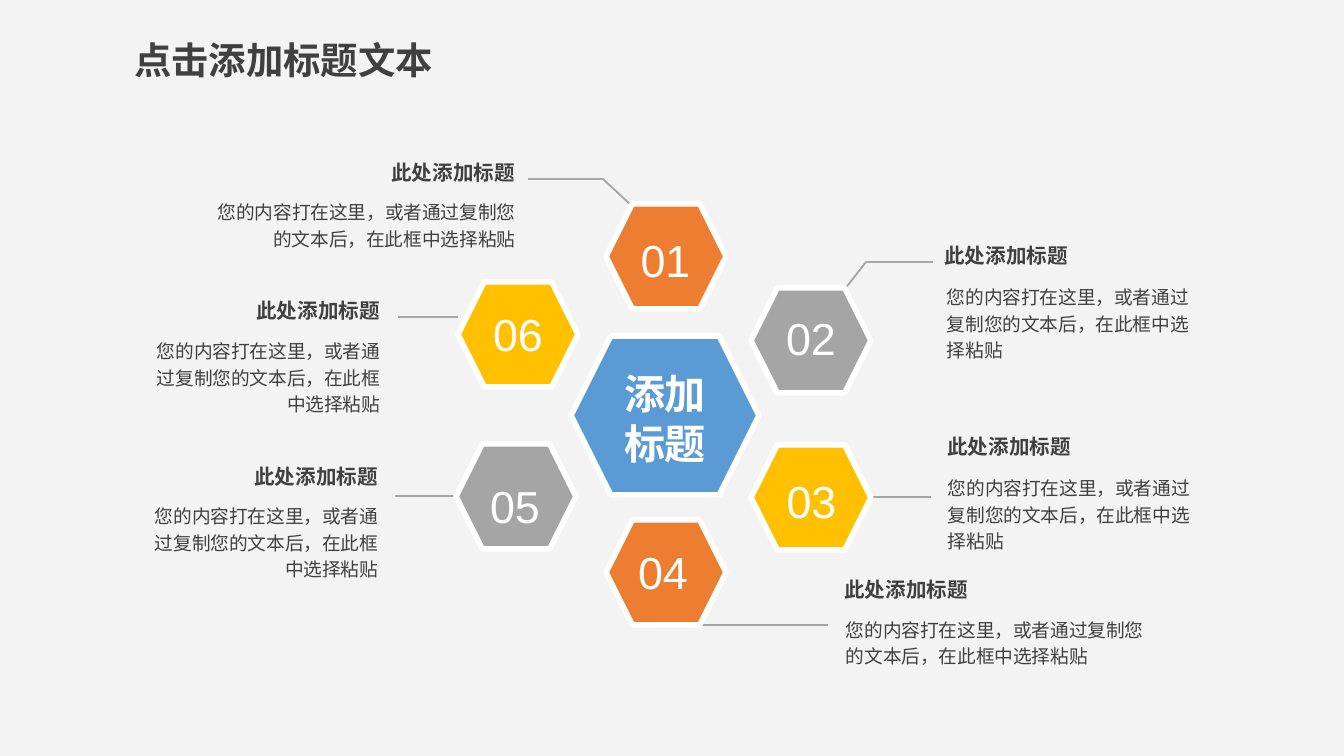
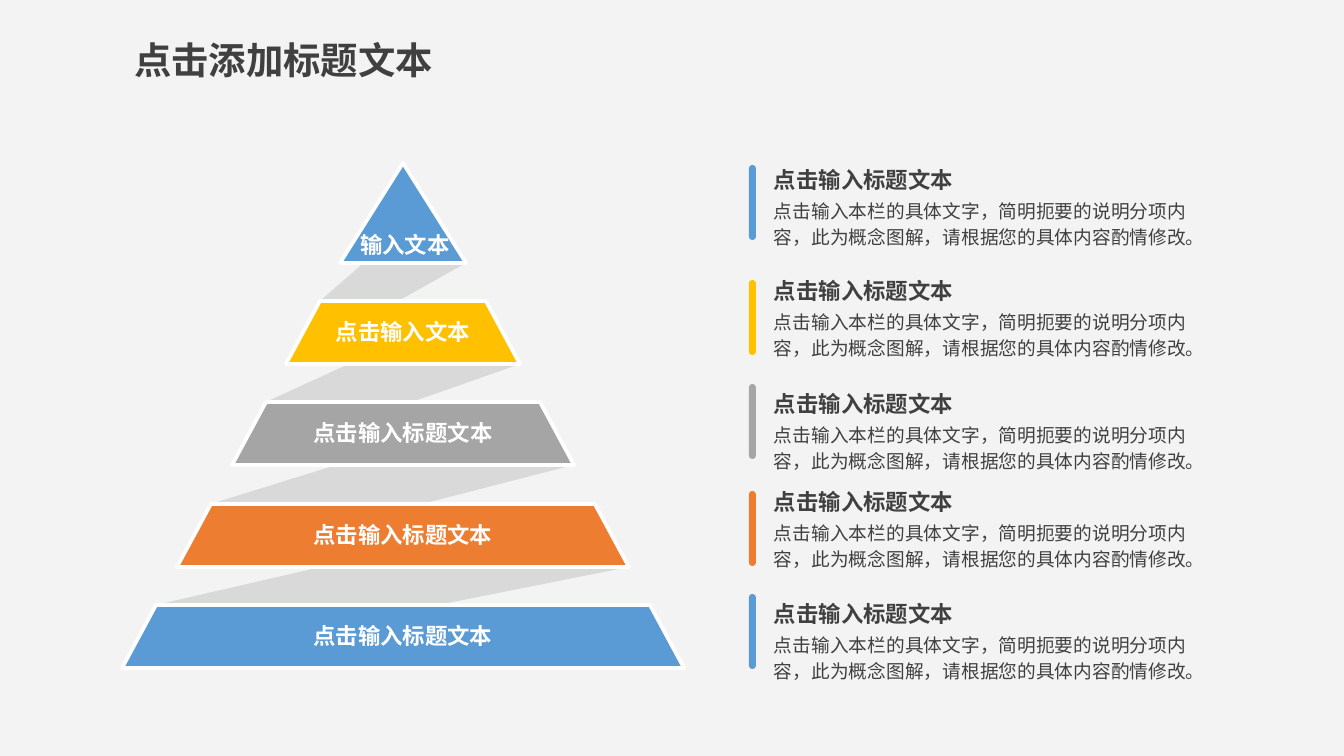
"""Builds a hexagon ring slide and a layered pyramid slide."""
from lxml import etree
from pptx import Presentation
from pptx.dml.color import RGBColor
from pptx.enum.shapes import MSO_CONNECTOR, MSO_SHAPE
from pptx.enum.text import MSO_ANCHOR, MSO_AUTO_SIZE, PP_ALIGN
from pptx.oxml.ns import qn
from pptx.util import Emu, Pt

SCALE = 914400 / 134.4
HEXAGON, BAR = MSO_SHAPE.HEXAGON, MSO_SHAPE.ROUND_2_SAME_RECTANGLE
STRAIGHT = MSO_CONNECTOR.STRAIGHT
LEFT, CENTER, RIGHT, JUSTIFY = PP_ALIGN.LEFT, PP_ALIGN.CENTER, PP_ALIGN.RIGHT, PP_ALIGN.JUSTIFY
TOP, MIDDLE = MSO_ANCHOR.TOP, MSO_ANCHOR.MIDDLE
GROW, FIXED = MSO_AUTO_SIZE.SHAPE_TO_FIT_TEXT, MSO_AUTO_SIZE.NONE

BACKGROUND = RGBColor(0xF3, 0xF3, 0xF3)
WHITE = RGBColor(0xFF, 0xFF, 0xFF)
INK = RGBColor(0x40, 0x40, 0x40)
RULE = RGBColor(0xA6, 0xA6, 0xA6)
SHADE = RGBColor(0xD9, 0xD9, 0xD9)
BLUE = RGBColor(0x5B, 0x9B, 0xD5)
ORANGE = RGBColor(0xED, 0x7D, 0x31)
GREY = RGBColor(0xA5, 0xA5, 0xA5)
GOLD = RGBColor(0xFF, 0xC0, 0x00)

CJK, LATIN = "Noto Sans CJK SC", "Arial"
TITLE = dict(name=CJK, size=Pt(20), bold=True, color=INK)
HEADING = dict(name=CJK, size=Pt(11), bold=True, color=INK)
ITEM_HEADING = dict(HEADING, size=Pt(12))
BODY = dict(name=CJK, size=Pt(10), bold=False, color=INK)
NUMBER = dict(name=LATIN, size=Pt(24), bold=False, color=WHITE)
CORE = dict(name=CJK, size=Pt(22), bold=True, color=WHITE)
TIER = dict(name=CJK, size=Pt(12), bold=True, color=WHITE)

SLIDE_TITLE = "点击添加标题文本"


def px(*values):
    """Turn pixel lengths into EMU."""
    return [Emu(round(v * SCALE)) for v in values]


class Deck:
    """Holds the presentation, its style and the current slide."""

    def __init__(self):
        self.prs = Presentation()
        self.prs.slide_width, self.prs.slide_height = px(1344, 756)
        fill = self.prs.slide_master.background.fill
        fill.solid()
        fill.fore_color.rgb = BACKGROUND
        self.s = None

    def slide(self, title):
        """Start a title-only slide."""
        self.s = self.prs.slides.add_slide(self.prs.slide_layouts[5])
        sp = self.s.shapes.title
        sp.left, sp.top, sp.width, sp.height = px(121, 30, 329, 59)
        self.fill_text(sp, title, TITLE, wrap=False)

    def fill_text(self, sp, text, font, align=LEFT, wrap=True, spacing=1.0,
                  inset=(13, 7), anchor=TOP, size=GROW):
        """Put one formatted paragraph into a shape."""
        tf = sp.text_frame
        x, y = px(*inset)
        frame = dict(word_wrap=wrap, auto_size=size, vertical_anchor=anchor,
                     margin_left=x, margin_right=x, margin_top=y, margin_bottom=y)
        for key, value in frame.items():
            setattr(tf, key, value)
        p = tf.paragraphs[0]
        p.alignment, p.line_spacing = align, spacing
        r = p.add_run()
        r.text = text
        for key, value in font.items():
            if key == "color":
                r.font.color.rgb = value
            else:
                setattr(r.font, key, value)
        ea = etree.SubElement(r.font._element, qn("a:ea"))
        ea.set("typeface", font["name"])

    def text(self, box, text, font, **options):
        """Add a text box."""
        self.fill_text(self.s.shapes.add_textbox(*px(*box)), text, font, **options)

    def paint(self, sp, fill, border=None):
        """Give a shape a flat fill and an optional white border in points."""
        sp.shadow.inherit = False
        sp.fill.solid()
        sp.fill.fore_color.rgb = fill
        if border:
            sp.line.color.rgb = WHITE
            sp.line.width = Pt(border)
        else:
            sp.line.fill.background()

    def shape(self, kind, box, fill, border=None):
        """Add a preset shape."""
        sp = self.s.shapes.add_shape(kind, *px(*box))
        self.paint(sp, fill, border)
        return sp

    def polygon(self, points, fill, border=None):
        """Add a closed outline."""
        builder = self.s.shapes.build_freeform(*points[0], scale=SCALE)
        builder.add_line_segments(points[1:], close=True)
        self.paint(builder.convert_to_shape(), fill, border)

    def leader(self, points):
        """Join points with thin straight lines."""
        for start, end in zip(points, points[1:]):
            line = self.s.shapes.add_connector(STRAIGHT, *px(*start, *end))
            line.line.color.rgb = RULE
            line.line.width = Pt(1)
            etree.SubElement(line._element.spPr, qn("a:effectLst"))


LEADERS = [
    [(931, 497), (871, 497)],
    [(700, 625), (828, 625)],
    [(456, 496), (395, 496)],
    [(458, 317), (398, 317)],
    [(632, 206), (603, 179), (528, 179)],
    [(845, 289), (866, 262), (933, 262)],
]
HEXAGONS = [
    ("01", (606, 204), ORANGE, (621, 215, 89, 73), 1.2),
    ("02", (751, 288), GREY, (770, 304, 82, 67), 1.0),
    ("03", (751, 445), GOLD, (765, 456, 93, 73), 1.2),
    ("04", (606, 520), ORANGE, (622, 538, 82, 67), 1.0),
    ("05", (456, 444), GREY, (474, 461, 82, 73), 1.2),
    ("06", (458, 282), GOLD, (477, 300, 82, 67), 1.0),
]
CAPTIONS = [
    ((382, 156), (196, 192, 328, 63), RIGHT),
    ((935, 239), (938, 277, 267, 90), LEFT),
    ((938, 430), (939, 468, 267, 90), LEFT),
    ((835, 573), (837, 610, 323, 63), LEFT),
    ((245, 460), (136, 496, 251, 90), RIGHT),
    ((247, 294), (138, 331, 251, 90), RIGHT),
]
CAPTION_HEADING = "此处添加标题"
CAPTION_BODY = "您的内容打在这里，或者通过复制您的文本后，在此框中选择粘贴"


def hexagon_slide(deck):
    """Six numbered hexagons around a central one."""
    deck.slide(SLIDE_TITLE)
    for points in LEADERS:
        deck.leader(points)
    for number, corner, fill, box, spacing in HEXAGONS:
        deck.shape(HEXAGON, (*corner, 120, 105), fill, 3)
        deck.text(box, number, NUMBER, align=CENTER, spacing=spacing)
    for corner, box, align in CAPTIONS:
        deck.text((*corner, 142, 34), CAPTION_HEADING, HEADING,
                  align=RIGHT, wrap=False, inset=(9, 4))
        deck.text(box, CAPTION_BODY, BODY, align=align, spacing=1.2, inset=(9, 4))
    deck.shape(HEXAGON, (571, 336, 188, 159), BLUE, 3)
    deck.text((607, 362, 116, 113), "添加标题", CORE, align=CENTER)


AXIS = 403
APEX = [(AXIS, 163), (AXIS + 63, 263), (AXIS - 63, 263)]
ITEM_TITLE = "点击输入标题文本"
ITEM_BODY = "点击输入本栏的具体文字，简明扼要的说明分项内容，此为概念图解，请根据您的具体内容酌情修改。"
TIERS = [("点击输入文本", GOLD), (ITEM_TITLE, GREY), (ITEM_TITLE, ORANGE), (ITEM_TITLE, BLUE)]
ITEMS = [(165, 163, BLUE), (280, 274, GOLD), (384, 387, GREY),
         (491, 485, ORANGE), (594, 597, BLUE)]


def tier_corners(i):
    """Corners of a pyramid tier, clockwise from top left."""
    top, half = 301 + 203 * i // 2, 83 + 164 * i // 3
    return [(AXIS - half, top), (AXIS + half, top),
            (AXIS + half + 34, top + 63), (AXIS - half - 34, top + 63)]


def pyramid_slide(deck):
    """A five-tier pyramid beside five explained items."""
    deck.slide(SLIDE_TITLE)
    tiers = [tier_corners(i) for i in range(len(TIERS))]
    edge = [(428, 207), APEX[1]]
    for corners in tiers:
        deck.polygon([edge[0], corners[0], corners[3], edge[1]], SHADE)
        edge = corners[1:3]
    label = dict(align=CENTER, anchor=MIDDLE, inset=(0, 0), size=FIXED)
    deck.polygon(APEX, BLUE, 2)
    deck.text((343, 219, 124, 52), "输入文本", TIER, **label)
    for corners, (name, fill) in zip(tiers, TIERS):
        deck.polygon(corners, fill, 2)
        (left, top), (right, _) = corners[:2]
        deck.text((left + 2, top + 5, right - left - 4, 52), name, TIER, **label)
    for bar_top, text_top, fill in ITEMS:
        bar = deck.shape(BAR, (749, bar_top, 7, 75), fill)
        bar.adjustments[0] = bar.adjustments[1] = 0.5
        deck.text((769, text_top + 29, 422, 56), ITEM_BODY, BODY,
                  align=JUSTIFY, spacing=1.2, inset=(5, 3))
        deck.text((769, text_top, 191, 32), ITEM_TITLE, ITEM_HEADING,
                  wrap=False, inset=(5, 3))


deck = Deck()
hexagon_slide(deck)
pyramid_slide(deck)
deck.prs.save("out.pptx")
